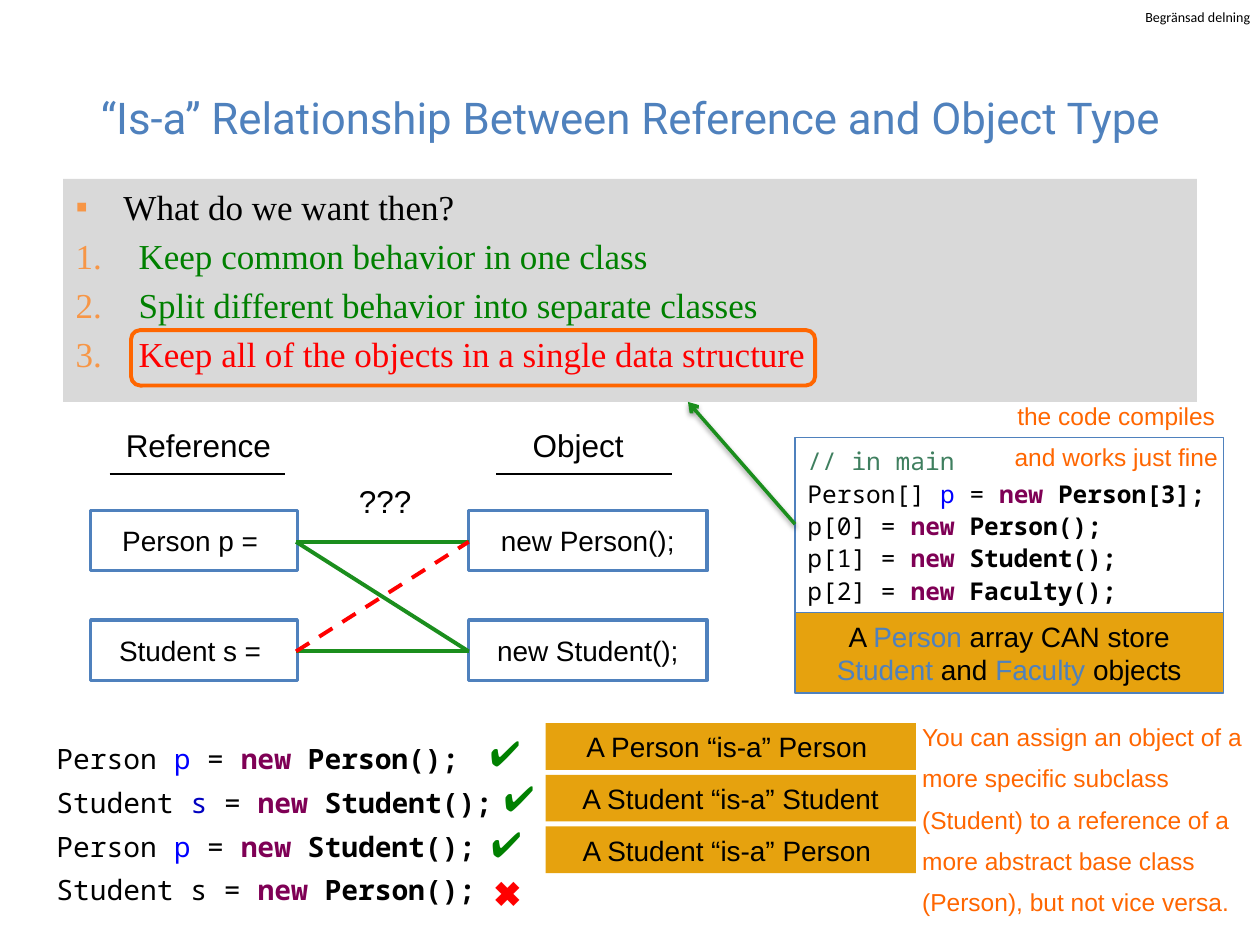
from lxml.etree import SubElement
from pptx import Presentation
from pptx.dml.color import RGBColor
from pptx.enum.dml import MSO_LINE_DASH_STYLE as Dash
from pptx.enum.shapes import MSO_CONNECTOR as Connector, MSO_SHAPE as Shape
from pptx.enum.text import MSO_ANCHOR as Anchor, PP_ALIGN as Align
from pptx.oxml.ns import qn
from pptx.util import Inches, Pt

COLORS = {
    "black": "000000", "white": "FFFFFF", "blue": "4F81BD", "panel": "D9D9D9",
    "bullet": "F79646", "good": "008000", "bad": "FF0000", "note": "FF6600",
    "link": "1B8E1D", "label": "E6A20E", "keyword": "7F0055",
    "variable": "0000FF", "field": "0000C0", "comment": "3F7F5F",
}
CODE_COLORS = {"p": "variable", "s": "field", "new": "keyword", "// in main": "comment"}
TYPE_COLORS = {"Person": "blue", "Student": "blue", "Faculty": "blue"}
MONO = "Noto Sans Mono"


def rgb(name):
    return RGBColor.from_string(COLORS[name])


def style_run(run, size, font="Arial", color="black", bold=False):
    run.font.size = Pt(size)
    run.font.name = font
    run.font.color.rgb = rgb(color)
    run.font.bold = bold


def write(frame, lines, size, font="Arial", color="black", align=Align.LEFT,
          spacing=None, accents=None):
    frame.text = "\n".join(lines)
    for paragraph, line in zip(frame.paragraphs, lines):
        paragraph.text = ""
        paragraph.alignment = align
        if spacing:
            paragraph.line_spacing = spacing
        bold = False
        for piece in line.split("|"):
            run = paragraph.add_run()
            run.text = piece
            bold = bold or piece == "new"
            style_run(run, size, font, (accents or {}).get(piece, color), bold)


def place(shape, box):
    shape.left, shape.top, shape.width, shape.height = map(Inches, box)


def add_text(slide, box, lines, size, wrap=True, **style):
    frame = slide.shapes.add_textbox(*map(Inches, box)).text_frame
    frame.word_wrap = wrap
    write(frame, lines, size, **style)
    return frame


def add_box(slide, box, fill=None, line=None, width=1, kind=Shape.RECTANGLE):
    shape = slide.shapes.add_shape(kind, *map(Inches, box))
    shape.shadow.inherit = False
    if fill:
        shape.fill.solid()
        shape.fill.fore_color.rgb = rgb(fill)
    else:
        shape.fill.background()
    if line:
        shape.line.color.rgb = rgb(line)
        shape.line.width = Pt(width)
    else:
        shape.line.fill.background()
    return shape


def add_line(slide, start, end, color, width, dash=None):
    line = slide.shapes.add_connector(Connector.STRAIGHT, *map(Inches, start + end))
    line.line.color.rgb = rgb(color)
    line.line.width = Pt(width)
    if dash:
        line.line.dash_style = dash
    effects = SubElement(line._element.spPr, qn("a:effectLst"))
    return line, effects


def add_bullet(paragraph, indent, tag, **attributes):
    properties = paragraph._p.get_or_add_pPr()
    properties.set("marL", str(Inches(indent)))
    properties.set("indent", str(-Inches(indent)))
    color = SubElement(properties, qn("a:buClr"))
    SubElement(color, qn("a:srgbClr"), val=COLORS["bullet"])
    SubElement(properties, qn("a:buFont"), typeface="Times New Roman")
    SubElement(properties, qn(tag), **attributes)


def fill_title(slide, box):
    title = slide.shapes.title
    place(title, box)
    write(title.text_frame, ["“Is-a” Relationship Between Reference and Object Type"],
          25, "Roboto", "blue", Align.CENTER)


def fill_goals(slide, box):
    goals = slide.placeholders[1]
    place(goals, box)
    goals.fill.solid()
    goals.fill.fore_color.rgb = rgb("panel")
    lines = {
        "What do we want then?": "black",
        "Keep common behavior in one class": "good",
        "Split different behavior into separate classes": "good",
        "Keep all of the objects in a single data structure": "bad",
    }
    write(goals.text_frame, list(lines), 20, "Times New Roman", accents=lines)
    question, *steps = goals.text_frame.paragraphs
    add_bullet(question, 0.38, "a:buChar", char="▪")
    for step in steps:
        add_bullet(step, 0.5, "a:buAutoNum", type="arabicPeriod")
    left, top, _, _ = box
    add_box(slide, (left + 0.54, top + 1.2, 5.43, 0.44), line="note", width=2.25,
            kind=Shape.ROUNDED_RECTANGLE)


def draw_type_diagram(slide, box):
    left, top, width, height = box
    row_height = 0.48
    rows = (top + 0.72, top + height - row_height)
    columns = (
        (left, 1.64, "Reference", 0.18, 1.37, 0.15, ("Person p = ", "Student s = ")),
        (left + width - 1.89, 1.89, "Object", 0.41, 0.93, 0.22,
         ("new Person();", "new Student();")),
    )
    for x, box_width, heading, inset, heading_width, rule, labels in columns:
        add_text(slide, (x + inset, top, heading_width, 0.4), [heading], 18, wrap=False)
        add_line(slide, (x + rule, top + 0.43), (x + rule + 1.39, top + 0.43), "black", 1)
        for y, label in zip(rows, labels):
            node = add_box(slide, (x, y, box_width, row_height), "white", "blue", 2)
            node.text_frame.vertical_anchor = Anchor.MIDDLE
            write(node.text_frame, [label], 16, align=Align.CENTER)
    add_text(slide, (left + 2.03, top + 0.45, 0.62, 0.4), ["???"], 18, wrap=False)

    start, end = left + 1.63, left + 3
    person, student = (y + 0.25 for y in rows)
    for origin, target in ((person, person), (student, student), (person, student)):
        add_line(slide, (start, origin), (end, target), "link", 2.25)
    add_line(slide, (start, student), (end, person), "bad", 2.25, Dash.DASH)


def add_assignments(slide, box):
    add_text(slide, box, [
        "Person |p| = |new| Person();",
        "Student |s| = |new| Student();",
        "Person |p| = |new| Student();",
        "Student s = |new| Person();",
    ], 16, font=MONO, spacing=1.3, accents=CODE_COLORS)
    left, top, _, _ = box
    marks = (("✔", "good", 3.44, 0), ("✔", "good", 3.55, 0.35),
             ("✔", "good", 3.45, 0.72), ("✖", "bad", 3.47, 1.11))
    for mark, color, x, y in marks:
        add_text(slide, (left + x, top + y, 0.44, 0.44), [mark], 20, wrap=False, color=color)


def add_is_a_labels(slide, box):
    left, top, width, height = box
    labels = ("A Person “is-a” Person ", "A Student “is-a” Student", "A Student “is-a” Person ")
    label_height = 0.37
    step = (height - label_height) / (len(labels) - 1)
    for index, text in enumerate(labels):
        label = add_box(slide, (left, top + index * step, width, label_height), "label")
        write(label.text_frame, [text], 16, align=Align.CENTER)


def add_array_example(slide, box):
    left, top, width, height = box
    code_height = 1.39
    code = add_box(slide, (left, top, width, code_height), line="blue", width=0.75)
    code.text_frame.vertical_anchor = Anchor.TOP
    write(code.text_frame, [
        "// in main",
        "Person[] |p| = |new| Person[3];",
        "p[0] = |new| Person();",
        "p[1] = |new| Student();",
        "p[2] = |new| Faculty();",
    ], 14, MONO, spacing=1.1, accents=CODE_COLORS)
    caption = add_box(slide, (left, top + code_height, width, height - code_height),
                      "label", "blue", 0.75)
    write(caption.text_frame, ["A |Person| array CAN store |Student| and |Faculty| objects"],
          16, align=Align.CENTER, accents=TYPE_COLORS)
    arrow, effects = add_line(slide, (left, top + 0.69), (left - 0.85, top - 0.28), "link", 2)
    SubElement(arrow.line._get_or_add_ln(), qn("a:tailEnd"), type="arrow")
    shadow = SubElement(effects, qn("a:outerShdw"), blurRad=str(Pt(3.1)),
                        dist=str(Pt(1.6)), dir="5400000", rotWithShape="0")
    black = SubElement(shadow, qn("a:srgbClr"), val=COLORS["black"])
    SubElement(black, qn("a:alpha"), val="38000")
    add_text(slide, (left + 1.6, top - 0.43, 1.9, 0.74),
             ["the code compiles and works just fine"], 14,
             color="note", align=Align.CENTER, spacing=1.4)


def add_sharing_label(slide, box):
    frame = add_text(slide, box, ["Begränsad delning"], 8, wrap=False, font="Calibri")
    frame.margin_left = frame.margin_right = frame.margin_top = frame.margin_bottom = 0


def main():
    deck = Presentation()
    deck.slide_width, deck.slide_height = Inches(10), Inches(7.5)
    slide = deck.slides.add_slide(deck.slide_layouts[1])
    add_sharing_label(slide, (9.09, 0.07, 0.86, 0.13))
    fill_title(slide, (0.5, 0.3, 9, 1.25))
    fill_goals(slide, (0.5, 1.42, 9, 1.77))
    draw_type_diagram(slide, (0.72, 3.33, 4.89, 2.07))
    add_assignments(slide, (0.35, 5.76, 3.77, 1.49))
    add_is_a_labels(slide, (4.33, 5.74, 2.94, 1.19))
    add_array_example(slide, (6.31, 3.47, 3.4, 2.03))
    add_text(slide, (7.22, 5.59, 2.78, 1.71), [
        "You can assign an object of a more specific subclass (Student) to a reference "
        "of a more abstract base class (Person), but not vice versa.",
    ], 14, color="note", spacing=1.4)
    deck.save("out.pptx")


if __name__ == "__main__":
    main()
